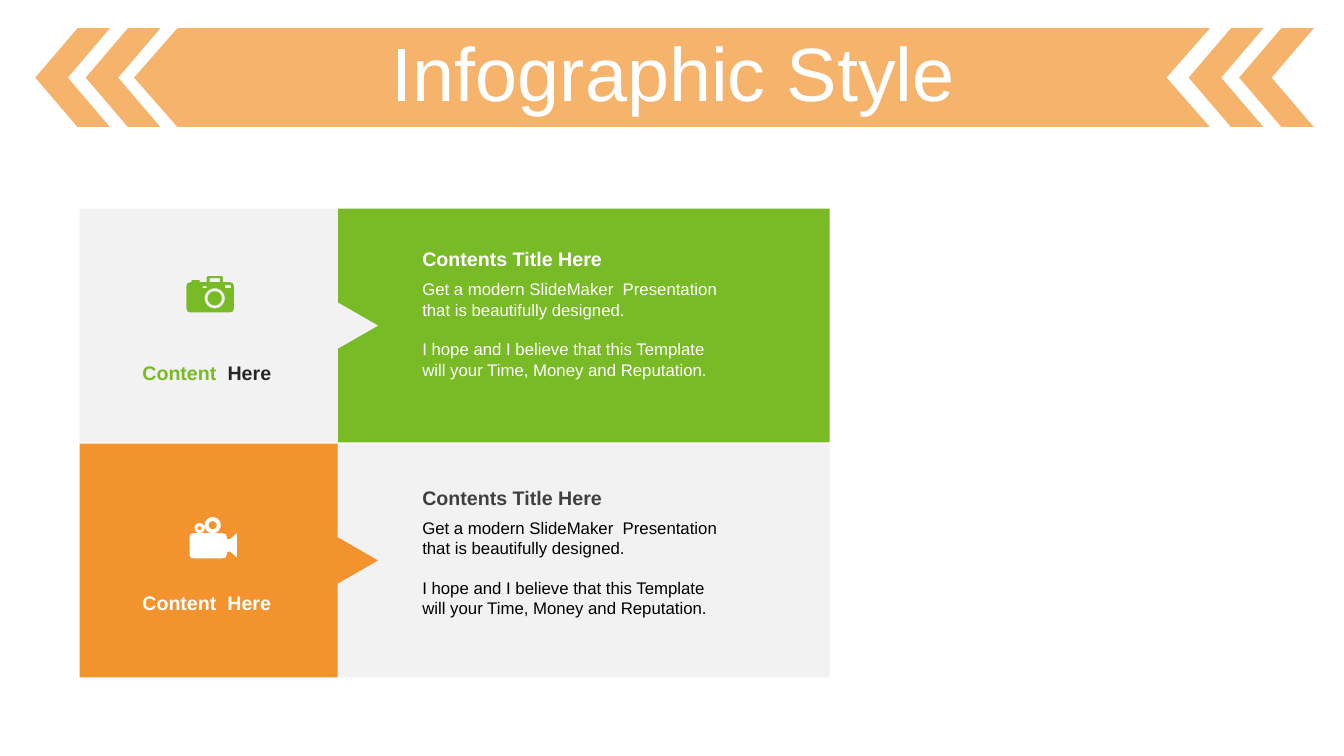
"""Build the Infographic Style slide: an arrow banner above two rows of content."""
from dataclasses import dataclass
from math import cos, pi, sin

from lxml.etree import SubElement
from pptx import Presentation
from pptx.dml.color import RGBColor
from pptx.enum.shapes import MSO_SHAPE
from pptx.enum.text import MSO_ANCHOR, MSO_AUTO_SIZE, PP_ALIGN
from pptx.oxml.ns import qn
from pptx.util import Pt


@dataclass(frozen=True)
class Theme:
    font: str = "Arial"
    green: str = "79BA27"
    orange: str = "F3932D"
    pale: str = "F2F2F2"
    white: str = "FFFFFF"
    black: str = "000000"
    dark: str = "262626"
    gray: str = "404040"
    title_size: int = 54
    heading_size: int = 14
    body_size: int = 12
    banner_alpha: int = 70000


THEME = Theme()
PX = 9144

deck = Presentation()
deck.slide_width, deck.slide_height = 1333 * PX, 750 * PX
slide = deck.slides.add_slide(deck.slide_layouts[5])
shapes = slide.shapes


def write_text(box, text, *, color, size, bold=False, lead="", lead_color=None,
               align=PP_ALIGN.LEFT, anchor=MSO_ANCHOR.TOP, gap=0, spacing=1.0, inset=10):
    """Fill a box with lines of text, the first one after an optional coloured lead."""
    frame = box.text_frame
    frame.word_wrap, frame.auto_size = True, MSO_AUTO_SIZE.NONE
    frame.vertical_anchor = anchor
    frame.margin_left = inset * PX
    for index, line in enumerate(text.split("\n")):
        paragraph = frame.add_paragraph() if index else frame.paragraphs[0]
        paragraph.alignment, paragraph.line_spacing = align, spacing
        paragraph.space_before = Pt(gap if index else 0)
        pieces = [(line, color)]
        if lead and index == 0:
            pieces.insert(0, (lead, lead_color))
        for words, tint in pieces:
            run = paragraph.add_run()
            run.text = words
            run.font.name, run.font.size, run.font.bold = THEME.font, Pt(size), bold
            run.font.color.rgb = RGBColor.from_string(tint)


def draw(outline, color, alpha=None):
    """Draw a chevron or rectangle (preset, box) or a list of contours; a circle is (x, y, radius)."""
    if isinstance(outline, tuple):
        preset, box = outline
        shape = shapes.add_shape(preset, *(side * PX for side in box))
    else:
        builder = None
        for contour in outline:
            if isinstance(contour, tuple):
                x, y, radius = contour
                contour = [(x + radius * cos(step * pi / 18), y + radius * sin(step * pi / 18))
                           for step in range(36)]
            points = [(round(x * PX), round(y * PX)) for x, y in contour]
            if builder is None:
                builder = shapes.build_freeform(*points[0])
            else:
                builder.move_to(*points[0])
            builder.add_line_segments(points[1:], close=True)
        shape = builder.convert_to_shape()
    shape.shadow.inherit = False
    shape.fill.solid()
    shape.fill.fore_color.rgb = RGBColor.from_string(color)
    shape.line.fill.background()
    if alpha:
        tint = shape._element.spPr.find(f"{qn('a:solidFill')}/{qn('a:srgbClr')}")
        SubElement(tint, qn("a:alpha")).set("val", str(alpha))
    return shape


for chevron_left in (35, 85, 1179, 1229):
    chevron = draw((MSO_SHAPE.CHEVRON, (chevron_left, 28, 74, 98)), THEME.orange, THEME.banner_alpha)
    chevron.adjustments[0] = 0.565
    chevron.rotation = 180
banner = [(176, 28), (1200, 28), (1157, 77), (1200, 126), (176, 126), (133, 77)]
draw([banner], THEME.orange, THEME.banner_alpha)

title = shapes.title
title.left, title.top, title.width, title.height = 35 * PX, 37 * PX, 1266 * PX, 79 * PX
write_text(title, "Infographic Style", color=THEME.white, size=THEME.title_size,
           align=PP_ALIGN.CENTER, anchor=MSO_ANCHOR.MIDDLE, spacing=0.9)
shapes._spTree.append(title._element)

camera = [
    [(206, 274), (220, 274), (221, 275), (221, 280), (228, 280), (231, 281), (232, 284),
     (232, 306), (231, 309), (228, 310), (189, 310), (186, 309), (185, 306), (185, 284),
     (186, 281), (189, 280), (190, 280), (190, 278), (198, 278), (198, 280), (205, 280),
     (205, 275)],
    (213, 296, 10),
    (213, 296, 7),
    [(201, 284), (201, 286), (205, 286), (205, 284)],
    [(223, 283), (223, 286), (229, 286), (229, 283)],
    [(208, 276), (208, 280), (218, 280), (218, 276)],
]
video_camera = [
    [(192, 529), (220, 529), (224, 530), (225, 533), (225, 535), (228, 535), (235, 529),
     (235, 553), (228, 547), (225, 548), (225, 550), (224, 553), (220, 554), (192, 554),
     (189, 553), (188, 550), (188, 533), (189, 530)],
    (211, 521, 8),
    (211, 521, 4),
    (198, 524, 5),
    (198, 524, 2),
]

body_copy = ("Get a modern SlideMaker  Presentation that is beautifully designed.\n"
             "I hope and I believe that this Template will your Time, Money and Reputation.")
rows = [
    dict(top=207, panel=THEME.green, tab=THEME.pale, icon=camera, accent=THEME.green,
         label=THEME.dark, label_top=354, heading=THEME.white, body=THEME.white, heading_top=240),
    dict(top=440, panel=THEME.pale, tab=THEME.orange, icon=video_camera, accent=THEME.white,
         label=THEME.white, label_top=582, heading=THEME.gray, body=THEME.black, heading_top=477),
]
for row in rows:
    top = row["top"]
    draw((MSO_SHAPE.RECTANGLE, (335, top, 488, 232)), row["panel"])
    draw([[(79, top), (335, top), (335, top + 93), (375, top + 116), (335, top + 139),
           (335, top + 232), (79, top + 232)]], row["tab"])
    draw(row["icon"], row["accent"])

    label = shapes.add_textbox(95 * PX, row["label_top"] * PX, 218 * PX, 31 * PX)
    write_text(label, "Here", lead="Content  ", lead_color=row["accent"], color=row["label"],
               size=THEME.heading_size, bold=True, align=PP_ALIGN.CENTER,
               anchor=MSO_ANCHOR.MIDDLE, inset=12)

    body = shapes.add_textbox(409 * PX, (row["heading_top"] + 32) * PX, 324 * PX, 111 * PX)
    write_text(body, body_copy, color=row["body"], size=THEME.body_size, gap=14)

    heading = shapes.add_textbox(409 * PX, row["heading_top"] * PX, 324 * PX, 40 * PX)
    write_text(heading, "Contents Title Here", color=row["heading"],
               size=THEME.heading_size, bold=True)

deck.save("out.pptx")
